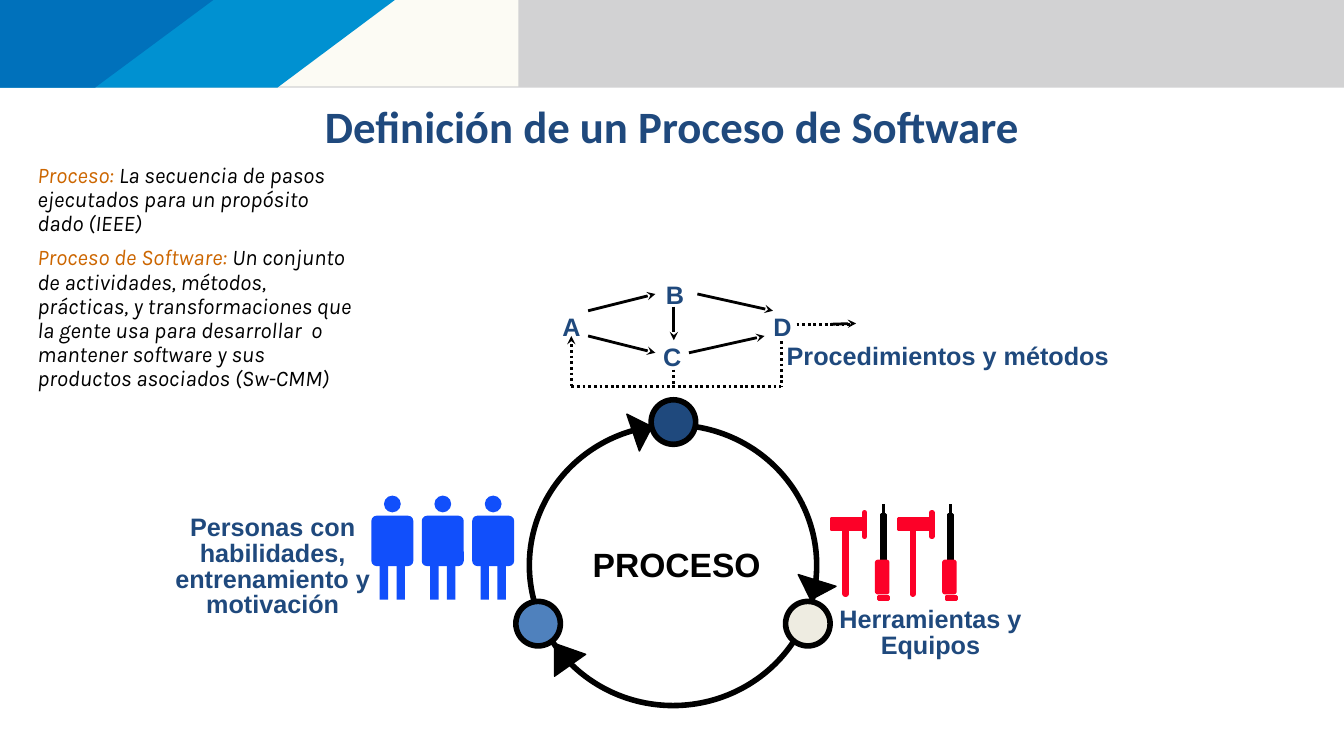
from dataclasses import dataclass

from lxml import etree
from pptx import Presentation
from pptx import util as u
from pptx.dml.color import RGBColor
from pptx.enum import dml, shapes, text
from pptx.oxml.ns import qn

# The slide is a grid of 160 columns by 90 rows of square cells
COLUMNS, ROWS = 160, 90
SLIDE_WIDTH, SLIDE_HEIGHT = u.Inches(13.33), u.Inches(7.5)
CELL = SLIDE_HEIGHT / ROWS
KIND = shapes.MSO_SHAPE
CENTER, LEFT = text.PP_ALIGN.CENTER, text.PP_ALIGN.LEFT


@dataclass(frozen=True)
class Theme:
    gray: str = "D2D2D3"
    cream: str = "FCFBF4"
    sky: str = "0091D1"
    blue: str = "0071BB"
    navy: str = "1F497D"
    steel: str = "4F81BD"
    ivory: str = "EEECE1"
    person: str = "114FFB"
    tool: str = "FC0128"
    term: str = "CC6600"
    black: str = "000000"
    title_size: int = 32
    center_size: int = 24
    label_size: int = 18
    body_size: int = 16


THEME = Theme()
LABEL = {"name": "Arial", "size": u.Pt(THEME.label_size), "bold": True}
CENTER_LABEL = {**LABEL, "size": u.Pt(THEME.center_size)}
BODY = {"name": "Karla", "size": u.Pt(THEME.body_size), "italic": True}
TITLE = {"name": "Calibri", "size": u.Pt(THEME.title_size), "bold": True}


def cells(*values):
    return [round(value * CELL) for value in values]


def assign(target, values):
    for name, value in values.items():
        setattr(target, name, value)


def paint(shape, fill=None, line=None, width=0):
    shape.shadow.inherit = False
    if fill:
        shape.fill.solid()
        shape.fill.fore_color.rgb = RGBColor.from_string(fill)
    else:
        shape.fill.background()
    if line:
        shape.line.color.rgb = RGBColor.from_string(line)
        shape.line.width = u.Pt(width)
    else:
        shape.line.fill.background()


def add_part(slide, kind, origin, part, fill=None, line=None, width=0):
    """Draw a preset shape at (column, row, width, height) from the origin."""
    x, y, w, h = part
    shape = slide.shapes.add_shape(kind, *cells(origin[0] + x, origin[1] + y, w, h))
    if kind == KIND.ROUNDED_RECTANGLE:
        shape.adjustments[0] = 0.125
    paint(shape, fill, line, width)


def add_polygon(slide, origin, points, fill, line=None, width=0):
    units = [(100 * (origin[0] + x), 100 * (origin[1] + y)) for x, y in points]
    builder = slide.shapes.build_freeform(*units[0], scale=CELL / 100)
    builder.add_line_segments(units[1:], close=True)
    paint(builder.convert_to_shape(), fill, line, width)


def add_line(slide, origin, ends, arrow=False, dotted=False):
    x, y = origin
    x1, y1, x2, y2 = ends
    line = slide.shapes.add_connector(
        shapes.MSO_CONNECTOR.STRAIGHT, *cells(x + x1, y + y1, x + x2, y + y2))
    line.line.color.rgb = RGBColor.from_string(THEME.black)
    line.line.width = u.Pt(2)
    if dotted:
        line.line.dash_style = dml.MSO_LINE.ROUND_DOT
    properties = line._element.spPr
    if arrow:
        etree.SubElement(properties.find(qn("a:ln")), qn("a:tailEnd"), type="stealth")
    etree.SubElement(properties, qn("a:effectLst"))


def write(paragraph, runs, font, align, spacing):
    assign(paragraph, {"alignment": align, "line_spacing": spacing})
    for words, color in runs:
        run = paragraph.add_run()
        run.text = words
        assign(run.font, font)
        run.font.color.rgb = RGBColor.from_string(color)


def add_text(slide, box, paragraphs, font, align=LEFT, spacing=0.85, wrap=False, gap=0):
    frame = slide.shapes.add_textbox(*cells(*box)).text_frame
    assign(frame, {"word_wrap": wrap, "margin_left": u.Inches(0.07),
                   "margin_right": u.Inches(0.07), "margin_top": u.Inches(0.03),
                   "margin_bottom": u.Inches(0.03)})
    for index, runs in enumerate(paragraphs):
        paragraph = frame.add_paragraph() if index else frame.paragraphs[0]
        write(paragraph, runs, font, align, spacing)
        if index and gap:
            paragraph.space_before = u.Pt(gap)


def add_label(slide, box, lines):
    add_text(slide, box, [[(line, THEME.navy)] for line in lines], LABEL, CENTER)


def add_banner(slide, box):
    left, top, width, height = box
    add_part(slide, KIND.RECTANGLE, (left, top), (0, 0, width, height), THEME.gray)
    add_part(slide, KIND.RECTANGLE, (left, top), (0, 0, 61.7, height - 0.15), THEME.cream)
    for upper, lower, color in ((47, 33, THEME.sky), (25.4, 11.3, THEME.blue)):
        add_polygon(slide, (left, top),
                    [(0, 0), (upper, 0), (lower, height), (0, height)], color)


def add_title(slide, box):
    title = slide.shapes.title
    assign(title, dict(zip(("left", "top", "width", "height"), cells(*box))))
    assign(title.text_frame, {
        "margin_left": 0, "margin_right": 0, "margin_top": 0, "margin_bottom": 0,
        "vertical_anchor": text.MSO_ANCHOR.TOP, "word_wrap": True})
    write(title.text_frame.paragraphs[0],
          [("Definición de un Proceso de Software", THEME.navy)], TITLE, CENTER, 1.0)


def add_definitions(slide, box):
    entries = (
        ("Proceso:", " La secuencia de pasos ejecutados para un propósito dado (IEEE)"),
        ("Proceso de Software:", " Un conjunto de actividades, métodos, prácticas, y "
         "transformaciones que la gente usa para desarrollar  o mantener software "
         "y sus productos asociados (Sw-CMM)"))
    add_text(slide, box,
             [[(term, THEME.term), (meaning, THEME.black)] for term, meaning in entries],
             BODY, spacing=0.9, wrap=True, gap=7)


def add_cycle(slide, box):
    origin, size = box[:2], box[2:]
    add_part(slide, KIND.OVAL, origin, (0, 0, *size), line=THEME.black, width=4)
    for x, y, color in ((14.5, -3, THEME.navy), (-1.6, 21, THEME.steel),
                        (30.5, 21, THEME.ivory)):
        add_part(slide, KIND.OVAL, origin, (x, y, 5.3, 5.3), color, THEME.black, 4)
    # Arrowheads along the ring
    for points in (((11.6, -1.3), (14.6, 0.2), (13.1, 3.1)),
                   ((33.5, 20.8), (36.5, 19.2), (32, 17.8)),
                   ((3, 26), (6.7, 27.3), (3, 29.9))):
        add_polygon(slide, origin, points, THEME.black, THEME.black, 1)
    add_text(slide, (origin[0] + 6.7, origin[1] + 14.4, 21.8, 4.9),
             [[("PROCESO", THEME.black)]], CENTER_LABEL, spacing=0.87)


def add_people(slide, origin, count=3, pitch=6):
    parts = ((KIND.ROUNDED_RECTANGLE, (0, 2.4, 5, 6)), (KIND.OVAL, (1.5, 0, 2, 2)),
             (KIND.RECTANGLE, (1, 8.4, 1, 4)), (KIND.RECTANGLE, (3, 8.4, 1, 4)))
    for index in range(count):
        for kind, part in parts:
            add_part(slide, kind, (origin[0] + index * pitch, origin[1]), part, THEME.person)


def add_tools(slide, origin, count=2, pitch=8):
    parts = (  # hammer handle, head and face; screwdriver blade, grip and cap
        (KIND.RECTANGLE, (1.7, 2.9, 0.1, 7.8), THEME.tool, 4),
        (KIND.RECTANGLE, (0, 1.7, 3.7, 1.4), THEME.tool, 2),
        (KIND.RECTANGLE, (4, 1, 0, 2.9), THEME.tool, 4),
        (KIND.RECTANGLE, (6, 1.3, 0.5, 7.4), THEME.black, 2),
        (KIND.ROUNDED_RECTANGLE, (5.4, 6.8, 1.4, 3.8), THEME.tool, 2),
        (KIND.RECTANGLE, (5.7, 11, 1.2, 0.4), THEME.tool, 2))
    for index in range(count):
        corner = (origin[0] + index * pitch, origin[1])
        for kind, part, color, width in parts:
            add_part(slide, kind, corner, part, color, color, width)
        add_line(slide, corner, (6.25, 4, 6.25, 0))


def add_flow(slide, origin):
    for letter, x, y in (("A", 0.1, 4.2), ("B", 12.4, 0.4), ("C", 12.1, 7.8), ("D", 25.2, 4.2)):
        add_text(slide, (origin[0] + x, origin[1] + y, 3.8, 3.7),
                 [[(letter, THEME.navy)]], LABEL)
    # Dotted feedback loop and exit
    for ends in ((2, 8, 2, 12.9), (2, 13, 14, 13), (14.2, 11, 14.2, 12.8),
                 (14, 13, 27, 13), (27, 7.6, 27, 13), (28.8, 5.6, 35.2, 5.6)):
        add_line(slide, origin, ends, dotted=True)
    # Arrows between the steps
    for ends in ((17, 2, 26, 4), (4, 4, 12, 2), (4, 7, 12, 9), (16, 9, 25, 7),
                 (14.2, 3.5, 14.2, 7.5), (2, 8, 2, 7), (32.9, 5.6, 35.9, 5.5)):
        add_line(slide, origin, ends, arrow=True)


def main():
    presentation = Presentation()
    assign(presentation, {"slide_width": SLIDE_WIDTH, "slide_height": SLIDE_HEIGHT})
    slide = presentation.slides.add_slide(presentation.slide_layouts.get_by_name("Title Only"))
    add_banner(slide, (0, 0, COLUMNS, 10.45))
    add_title(slide, (29, 11.8, 102, 7.7))
    add_definitions(slide, (3.6, 19.2, 40, 31.2))
    add_cycle(slide, (63, 50.6, 34.2, 33.4))
    add_people(slide, (44.2, 59))
    add_tools(slide, (98.9, 60))
    add_flow(slide, (66, 33))
    add_label(slide, (92.6, 40.7, 40.4, 3.7), ["Procedimientos y métodos"])
    add_label(slide, (99, 72, 23.5, 6.8), ["Herramientas y", "Equipos"])
    add_label(slide, (19.9, 61.1, 25.1, 13.1),
              ["Personas con", "habilidades,", "entrenamiento y", "motivación"])
    presentation.save("out.pptx")


if __name__ == "__main__":
    main()
